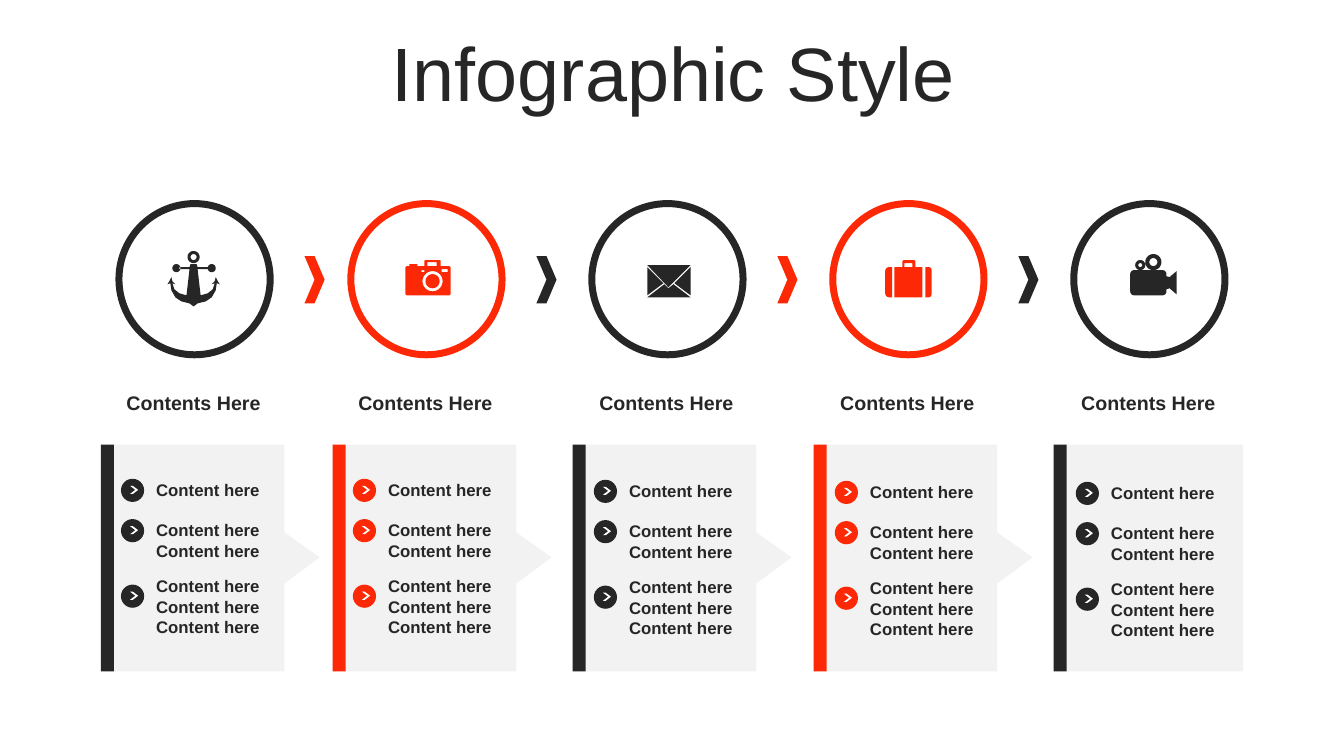
from math import cos, pi, sin

from lxml import etree
from pptx import Presentation
from pptx.dml.color import RGBColor
from pptx.enum.shapes import MSO_SHAPE
from pptx.enum.text import MSO_ANCHOR, PP_ALIGN
from pptx.util import Inches, Pt

OVAL, RECT, CHEVRON = MSO_SHAPE.OVAL, MSO_SHAPE.RECTANGLE, MSO_SHAPE.CHEVRON
MIDDLE = MSO_ANCHOR.MIDDLE
LEFT, CENTER = PP_ALIGN.LEFT, PP_ALIGN.CENTER

THEME = {
    "font": "Arial", "dark": "262626", "red": "FD2906",
    "card": "F2F2F2", "white": "FFFFFF",
    "title": 54, "head": 14, "body": 12, "ring": 5,
}


def disc(x, y, r):
    return [(x + r * cos(k * pi / 18), y + r * sin(k * pi / 18)) for k in range(36)]


def block(x, y, w, h, radii=(0, 0, 0, 0)):
    points = []
    for k, r in enumerate(radii):
        cx = x + w - r if k in (1, 2) else x + r
        cy = y + h - r if k > 1 else y + r
        for step in range(7 if r else 1):
            turn = pi + k * pi / 2 + step * pi / 12
            points.append((cx + r * cos(turn), cy + r * sin(turn)))
    return points


def mirror(points, axis):
    return [(2 * axis - x, y) for x, y in reversed(points)]


MID = 1.92
FLUKE = [
    (1.95, 2.62), (1.96, 2.65), (2.06, 2.65), (2.06, 2.67), (1.96, 2.67),
    (1.99, 2.93), (2.06, 2.91), (2.11, 2.87), (2.13, 2.81), (2.1, 2.82),
    (2.13, 2.79), (2.14, 2.75), (2.16, 2.79), (2.18, 2.82), (2.15, 2.81),
    (2.14, 2.88), (2.1, 2.95), (2.04, 2.99), (1.96, 3.01), (1.92, 3.04),
]
ANCHOR = [
    disc(MID, 2.55, 0.06), disc(MID, 2.55, 0.03),
    FLUKE + mirror(FLUKE, MID),
    disc(2.1, 2.66, 0.04), disc(1.75, 2.66, 0.04),
]
CAMERA = [
    block(4.02, 2.64, 0.45, 0.29, [0.02] * 4),
    block(4.21, 2.58, 0.16, 0.06, (0.01, 0.01, 0, 0)),
    block(4.24, 2.6, 0.09, 0.04), block(4.06, 2.62, 0.08, 0.02),
    block(4.18, 2.68, 0.03, 0.02), block(4.38, 2.67, 0.06, 0.03),
    disc(4.29, 2.79, 0.1), disc(4.29, 2.79, 0.07),
]
MAIL = [
    [(6.68, 2.82), (6.85, 2.95), (6.42, 2.95), (6.59, 2.82), (6.63, 2.86)],
    [(6.85, 2.65), (6.85, 2.93), (6.69, 2.81)],
    [(6.42, 2.65), (6.58, 2.81), (6.42, 2.93)],
    [(6.42, 2.63), (6.85, 2.63), (6.63, 2.85)],
]
CASE = [
    block(8.78, 2.65, 0.07, 0.3, (0.04, 0, 0, 0.04)),
    block(9.18, 2.65, 0.06, 0.3, (0, 0.03, 0.03, 0)),
    block(8.87, 2.65, 0.28, 0.3),
    block(8.95, 2.58, 0.13, 0.07, (0.02, 0.02, 0, 0)),
    block(8.97, 2.61, 0.08, 0.04, (0.01, 0.01, 0, 0)),
]
VIDEO = [
    block(11.21, 2.68, 0.36, 0.25, [0.04] * 4),
    [(11.57, 2.74), (11.6, 2.75), (11.67, 2.69), (11.67, 2.92), (11.6, 2.86), (11.57, 2.87)],
    disc(11.31, 2.63, 0.05), disc(11.31, 2.63, 0.02),
    disc(11.44, 2.6, 0.08), disc(11.44, 2.6, 0.04),
]

TITLE = "Infographic Style"
HEAD = "Contents Here"
ITEM = "Content here"
COLUMNS = [
    (1, 1, 0, ANCHOR),
    (3.3, 3.3, 0, CAMERA),
    (5.69, 5.68, 0.01, MAIL),
    (8.08, 8.07, 0.02, CASE),
    (10.47, 10.45, 0.03, VIDEO),
]
ROWS = [(1, 4.75, 4.71, 0.3), (2, 5.15, 5.11, 0.5), (3, 5.8, 5.66, 0.71)]

prs = Presentation()
prs.slide_width, prs.slide_height = Inches(13.33), Inches(7.5)
slide = prs.slides.add_slide(prs.slide_layouts[6])
shapes = slide.shapes


def color(name):
    return RGBColor.from_string(THEME[name])


def paint(shape, fill, line=None):
    shape.shadow.inherit = False
    shape.fill.solid()
    shape.fill.fore_color.rgb = color(fill)
    if line:
        shape.line.color.rgb = color(line)
        shape.line.width = Pt(THEME["ring"])
    else:
        shape.line.fill.background()
    return shape


def add(kind, x, y, w, h, fill, line=None):
    return paint(shapes.add_shape(kind, *map(Inches, (x, y, w, h))), fill, line)


def outline(loops, fill):
    loops = [[(Inches(x), Inches(y)) for x, y in loop] for loop in loops]
    pen = shapes.build_freeform(*loops[0][0])
    for k, loop in enumerate(loops):
        if k:
            pen.move_to(*loop[0])
        pen.add_line_segments(loop[1:], close=True)
    return paint(pen.convert_to_shape(), fill)


def write(lines, x, y, w, h, size, bold=True, align=LEFT, space=None):
    frame = shapes.add_textbox(*map(Inches, (x, y, w, h))).text_frame
    frame.word_wrap = True
    frame.vertical_anchor = MIDDLE
    frame.text = "\n".join(lines)
    for para in frame.paragraphs:
        para.alignment = align
        para.line_spacing = space
        para.font.name = THEME["font"]
        para.font.size = Pt(THEME[size])
        para.font.bold = bold
        para.font.color.rgb = color("dark")


write([TITLE], 0.35, 0.37, 12.66, 0.79, "title", False, CENTER, 0.9)

for i, (x, card, drift, icon) in enumerate(COLUMNS):
    tone, other = ("red", "dark") if i % 2 else ("dark", "red")
    last = i == len(COLUMNS) - 1
    add(OVAL, x + 0.18, 2.02, 1.5, 1.5, "white", tone)
    outline(icon, tone)
    write([HEAD], x, 3.82, 1.84, 0.34, "head", align=CENTER)
    if last:
        add(RECT, card, 4.41, 1.88, 2.25, "card")
    else:
        add(CHEVRON, x + 2.02, 2.54, 0.2, 0.47, other)
        edge = card + 1.82
        outline([[(card, 4.41), (edge, 4.41), (edge, 5.28), (card + 2.17, 5.53),
                  (edge, 5.79), (edge, 6.66), (card, 6.66)]], "card")
    add(RECT, card, 4.41, 0.13, 2.25, tone)
    for count, dot, top, height in ROWS:
        add(OVAL, x + 0.2, dot + drift, 0.23, 0.23, tone)
        mark = add(CHEVRON, x + 0.29, dot + drift + 0.07, 0.08, 0.08, "white")
        mark.adjustments[0] = 0.65
        write([ITEM] * count, x + 0.45, top + drift, 1.38, height, "body")

prs.save("out.pptx")
